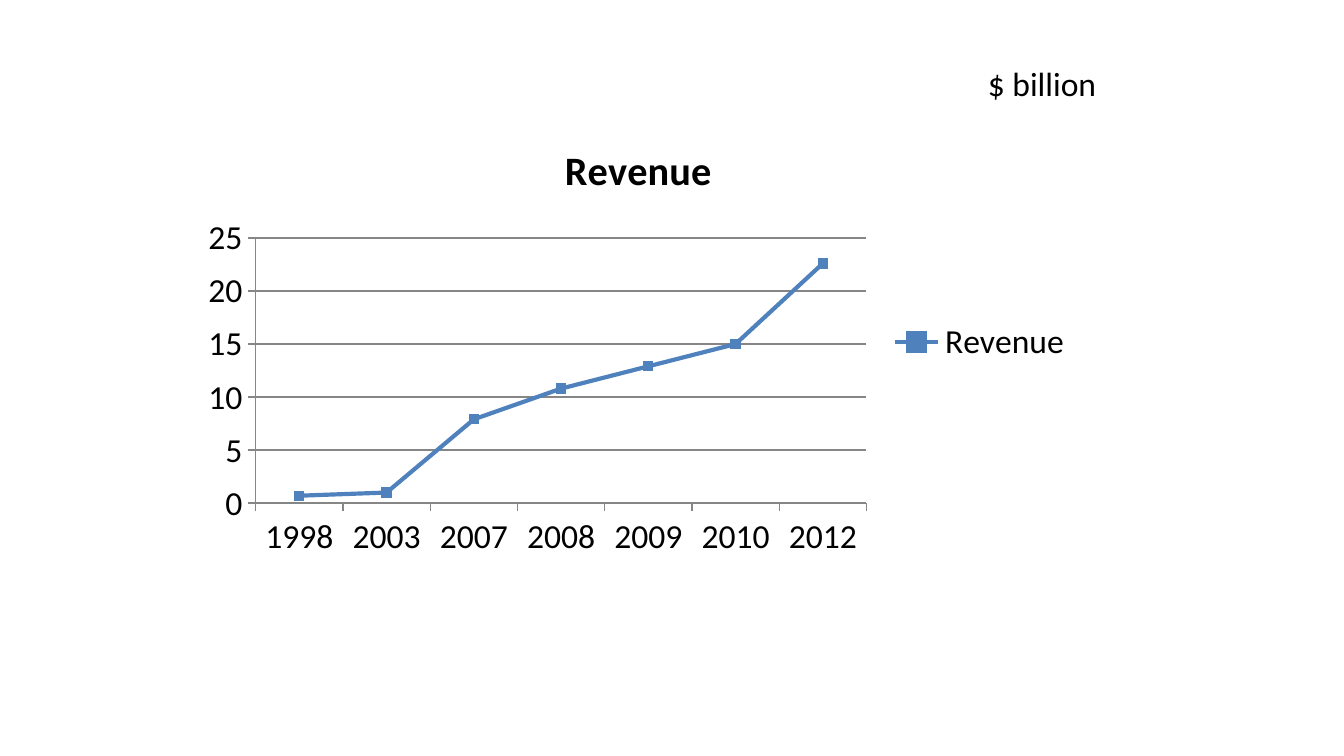
from dataclasses import dataclass

from pptx import Presentation
from pptx import util as u
from pptx.chart import data as chart_data
from pptx.dml.color import RGBColor
from pptx.enum import chart as ch
from pptx.enum import text

FONT = "Calibri"
BLACK = "000000"
GRID_GREY = "868686"
REVENUE_BLUE = "4F81BD"


@dataclass
class YearRevenue:
    year: str
    billions: float


@dataclass
class Box:
    left: float
    top: float
    width: float
    height: float

    def lengths(self) -> tuple:
        return tuple(u.Cm(v) for v in (self.left, self.top, self.width, self.height))


REVENUES = [
    YearRevenue("1998", 0.7),
    YearRevenue("2003", 1),
    YearRevenue("2007", 7.9),
    YearRevenue("2008", 10.8),
    YearRevenue("2009", 12.9),
    YearRevenue("2010", 15),
    YearRevenue("2012", 22.6),
]


def paint(color_format, color: str) -> None:
    color_format.rgb = RGBColor.from_string(color)


def style_font(font, size: float, bold: bool = False) -> None:
    font.name = FONT
    font.size = u.Pt(size)
    font.bold = bold
    paint(font.color, BLACK)


def style_line(line, color: str, width: float) -> None:
    paint(line.color, color)
    line.width = u.Pt(width)


def style_axis(axis, gridlines: bool) -> None:
    axis.major_tick_mark = ch.XL_TICK_MARK.OUTSIDE
    axis.minor_tick_mark = ch.XL_TICK_MARK.NONE
    axis.has_major_gridlines = gridlines
    style_line(axis.format.line, GRID_GREY, 0.75)
    style_font(axis.tick_labels.font, 18)
    if gridlines:
        style_line(axis.major_gridlines.format.line, GRID_GREY, 0.75)


def add_revenue_chart(slide, box: Box) -> None:
    revenue_data = chart_data.CategoryChartData()
    revenue_data.categories = [r.year for r in REVENUES]
    revenue_data.add_series("Revenue", [r.billions for r in REVENUES])
    chart = slide.shapes.add_chart(
        ch.XL_CHART_TYPE.LINE_MARKERS, *box.lengths(), revenue_data
    ).chart
    style_font(chart.font, 18)

    chart.has_title = True
    heading = chart.chart_title.text_frame.paragraphs[0].add_run()
    heading.text = "Revenue"
    style_font(heading.font, 21.6, bold=True)
    chart.chart_title.include_in_layout = False

    chart.has_legend = True
    chart.legend.position = ch.XL_LEGEND_POSITION.RIGHT
    chart.legend.include_in_layout = False
    style_font(chart.legend.font, 18)

    style_axis(chart.category_axis, gridlines=False)
    style_axis(chart.value_axis, gridlines=True)
    chart.value_axis.minimum_scale = 0
    chart.value_axis.maximum_scale = 25
    chart.value_axis.major_unit = 5

    plot = chart.plots[0]
    plot.vary_by_categories = False
    revenue = plot.series[0]
    revenue.smooth = False
    style_line(revenue.format.line, REVENUE_BLUE, 2.25)
    revenue.marker.style = ch.XL_MARKER_STYLE.SQUARE
    revenue.marker.size = 5
    revenue.marker.format.fill.solid()
    paint(revenue.marker.format.fill.fore_color, REVENUE_BLUE)
    style_line(revenue.marker.format.line, REVENUE_BLUE, 0.75)


def add_unit_label(slide, box: Box) -> None:
    frame = slide.shapes.add_textbox(*box.lengths()).text_frame
    frame.word_wrap = True
    frame.auto_size = text.MSO_AUTO_SIZE.SHAPE_TO_FIT_TEXT
    unit = frame.paragraphs[0].add_run()
    unit.text = "$ billion"
    style_font(unit.font, 18)


def main() -> None:
    deck = Presentation()
    deck.slide_width, deck.slide_height = u.Cm(25.4), u.Cm(14.29)
    slide = deck.slides.add_slide(deck.slide_layouts[6])
    add_revenue_chart(slide, Box(3.6, 2.23, 16.93, 8.47))
    add_unit_label(slide, Box(18.42, 1.06, 3.84, 1.03))
    deck.save("out.pptx")


main()
